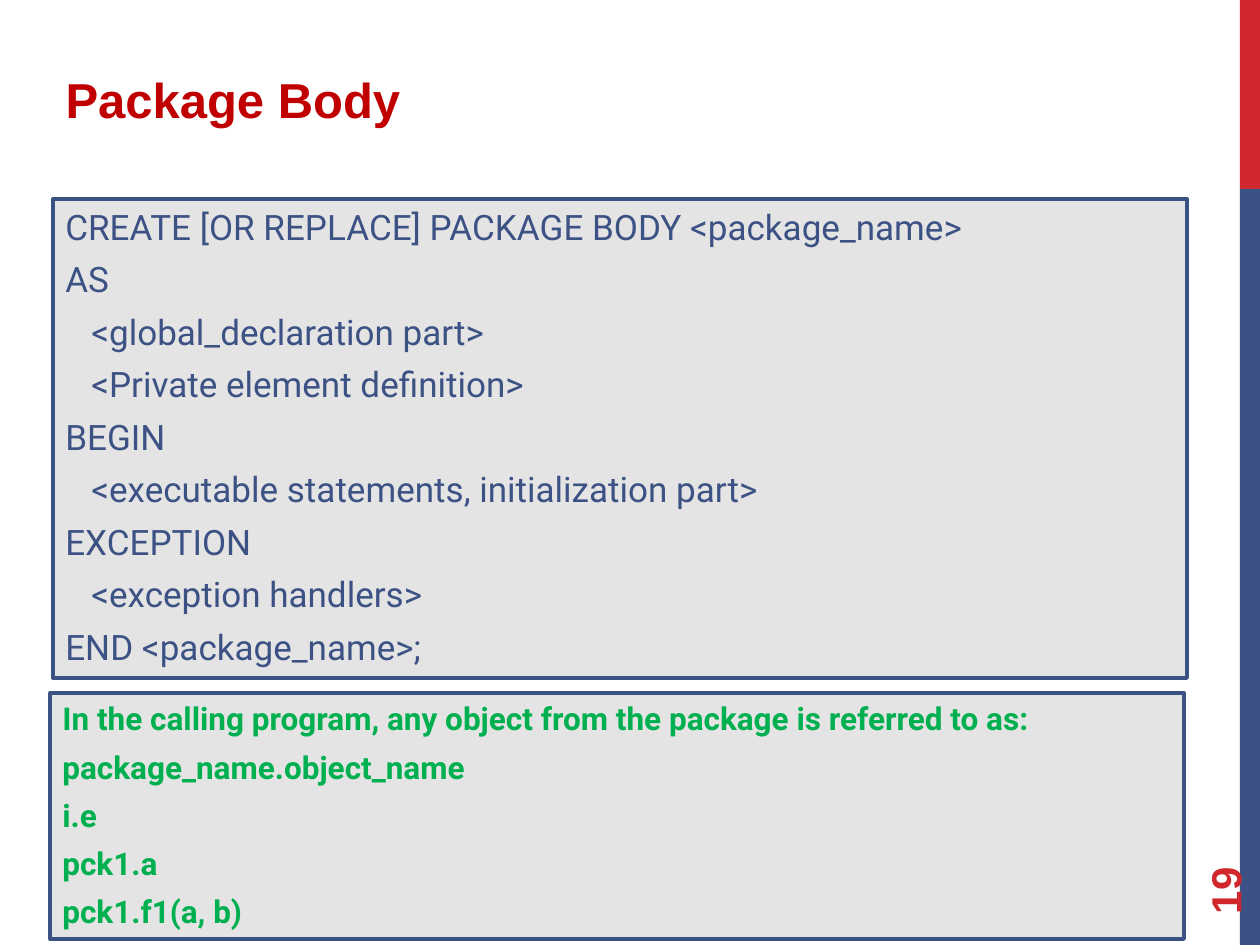
from pptx import Presentation
from pptx.dml.color import RGBColor
from pptx.enum.shapes import MSO_SHAPE as Shape
from pptx.enum.text import MSO_ANCHOR as Anchor, MSO_AUTO_SIZE as AutoSize, PP_ALIGN as Align
from pptx.util import Pt

PIXEL = 914400 // 126
RED, NAVY, GRAY = "D1282E", "3C5184", "E4E4E4"
TITLE_RED, GREEN = "C00000", "00B050"
STEP = 26

BODY_LINES = [
    (0, "CREATE [OR REPLACE] PACKAGE BODY <package_name>"),
    (0, "AS"),
    (1, "<global_declaration part>"),
    (1, "<Private element definition>"),
    (0, "BEGIN"),
    (1, "<executable statements, initialization part>"),
    (0, "EXCEPTION"),
    (1, "<exception handlers>"),
    (0, "END <package_name>;"),
]
CALL_LINES = [
    (0, "In the calling program, any object from the package is referred to as:"),
    (0, "package_name.object_name"),
    (0, "i.e"),
    (0, "pck1.a"),
    (0, "pck1.f1(a, b)"),
]


def px(*lengths):
    """Turn picture pixels into EMU."""
    return [length * PIXEL for length in lengths]


def color(value):
    """Turn a hex string into a colour."""
    return RGBColor.from_string(value)


def add_span(para, text, font, size, ink, bold=False):
    """Add one formatted run to a paragraph."""
    span = para.add_run()
    span.text = text
    span.font.name = font
    span.font.size = Pt(size)
    span.font.bold = bold
    span.font.color.rgb = color(ink)


def add_panel(page, place, fill, line=None):
    """Add a flat rectangle, outlined if a line colour is given."""
    panel = page.shapes.add_shape(Shape.RECTANGLE, *px(*place))
    panel.shadow.inherit = False
    panel.fill.solid()
    panel.fill.fore_color.rgb = color(fill)
    if line:
        panel.line.color.rgb = color(line)
        panel.line.width = Pt(2.25)
    else:
        panel.line.fill.background()
    return panel


def add_code_box(page, place, lines, size, ink, bold=False):
    """Add an outlined panel with one paragraph per code line."""
    frame = add_panel(page, place, GRAY, NAVY).text_frame
    frame.word_wrap = True
    frame.auto_size = AutoSize.SHAPE_TO_FIT_TEXT
    frame.vertical_anchor = Anchor.TOP
    for index, (level, text) in enumerate(lines):
        para = frame.add_paragraph() if index else frame.paragraphs[0]
        para.alignment = Align.LEFT
        para.space_before = Pt(6)
        if level:
            para._p.get_or_add_pPr().set("marL", str(level * STEP * PIXEL))
        add_span(para, text, "Roboto", size, ink, bold)


def set_title(page, place, text):
    """Place and format the title placeholder."""
    title = page.shapes.title
    title.left, title.top, title.width, title.height = px(*place)
    frame = title.text_frame
    frame.word_wrap = True
    frame.auto_size = AutoSize.NONE
    frame.vertical_anchor = Anchor.TOP
    para = frame.paragraphs[0]
    para.alignment = Align.LEFT
    para.space_before, para.space_after = Pt(5.6), Pt(6)
    add_span(para, text, "Arial", 28, TITLE_RED, True)


def add_page_number(page, place, text):
    """Add the page number, turned to read upwards."""
    box = page.shapes.add_textbox(*px(*place))
    box.rotation = 270
    frame = box.text_frame
    frame.word_wrap = True
    frame.vertical_anchor = Anchor.MIDDLE
    add_span(frame.paragraphs[0], text, "Arial", 24, RED, True)


def main():
    """Build the slide and save it."""
    deck = Presentation()
    deck.slide_width, deck.slide_height = px(1260, 945)
    page = deck.slides.add_slide(deck.slide_layouts[5])
    add_panel(page, (1240, 0, 20, 189), RED)
    add_panel(page, (1240, 189, 20, 756), NAVY)
    add_page_number(page, (1134, 811, 181, 50), "19")
    add_code_box(page, (53, 199, 1134, 479), BODY_LINES, 20, NAVY)
    set_title(page, (53, 63, 861, 84), "Package Body")
    add_code_box(page, (50, 693, 1134, 246), CALL_LINES, 18, GREEN, True)
    deck.save("out.pptx")


main()
